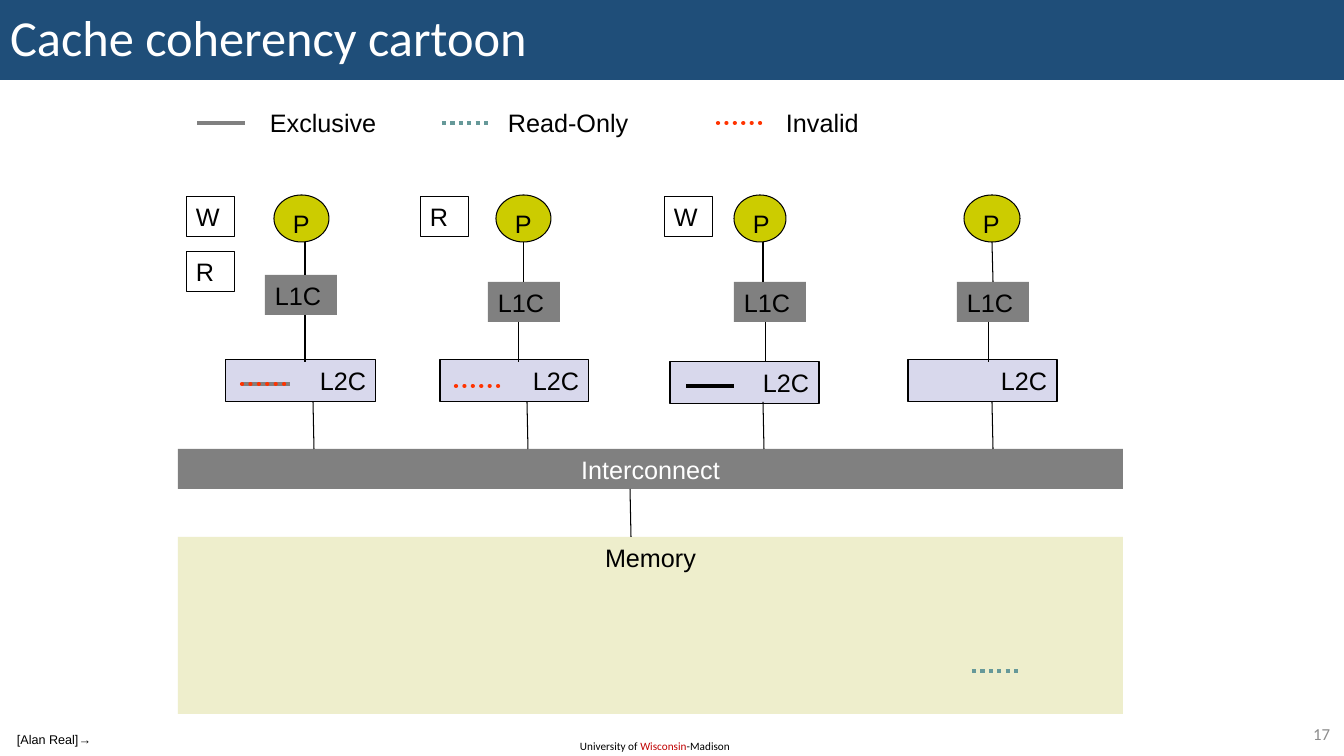
from lxml import etree
from pptx import Presentation
from pptx import util as u
from pptx.dml.color import RGBColor
from pptx.enum import dml, shapes, text
from pptx.oxml.ns import qn

BLACK = RGBColor(0, 0, 0)
WHITE = RGBColor(255, 255, 255)
NAVY = RGBColor(0x1F, 0x4E, 0x79)
GRAY = RGBColor(0x80, 0x80, 0x80)
PALE = RGBColor(0x8C, 0x8C, 0x8C)
OLIVE = RGBColor(0xCC, 0xCC, 0x00)
LILAC = RGBColor(0xD8, 0xD8, 0xEC)
CREAM = RGBColor(0xEE, 0xEE, 0xCC)
TEAL = RGBColor(0x66, 0x99, 0x99)
RED = RGBColor(0xFF, 0x33, 0x00)
CRIMSON = RGBColor(0xC0, 0x00, 0x00)

LEFT, MID, RIGHT = text.PP_ALIGN.LEFT, text.PP_ALIGN.CENTER, text.PP_ALIGN.RIGHT
RECT, OVAL = shapes.MSO_SHAPE.RECTANGLE, shapes.MSO_SHAPE.OVAL

# Content, lengths in px
TITLE = "Cache coherency cartoon"
FOOTER = [("University of ", BLACK), ("Wisconsin", CRIMSON), ("-Madison", BLACK)]
# Legend: line left, label left, label width, label, colour, dotted
LEGEND = [
    (197, 260, 182, "Exclusive", GRAY, False),
    (442, 498, 182, "Read-Only", TEAL, True),
    (718, 776, 151, "Invalid", RED, True),
]
# Nodes: P (left, width), L1C (left, top), L2C (left, top, width),
# wire x for P to L1C, L1C to L2C, L2C to interconnect
NODES = [
    ((274, 55), (265, 275), (226, 360, 150), (305, 305, 313)),
    ((496, 55), (488, 282), (440, 360, 149), (524, 519, 527)),
    ((734, 52), (734, 282), (670, 362, 149), (763, 766, 763)),
    ((964, 56), (957, 282), (908, 360, 149), (992, 988, 992)),
]
# Bars: label, top, height, fill, text colour
BARS = [
    ("Interconnect", 449, 40, GRAY, WHITE),
    ("Memory", 537, 177, CREAM, BLACK),
]
TAGS = [("W", 186, 196), ("R", 420, 196), ("W", 664, 196), ("R", 186, 251)]
# Cache line states: left, y, colour, dotted
MARKS = [
    (242, 384, GRAY, False),
    (242, 384, RED, True),
    (456, 386, RED, True),
    (686, 386, BLACK, False),
    (972, 671, TEAL, True),
]
BAR_X, BAR_W, MARK_W = 178, 945, 48
P_Y, P_H, L1_W, L1_H, L2_H = 195, 47, 72, 40, 42

prs = Presentation()
prs.slide_width, prs.slide_height = u.Inches(13.333), u.Inches(7.5)
SCALE = 914400 / 100.8


def px(*nums):
    return [u.Emu(round(n * SCALE)) for n in nums]


slide = prs.slides.add_slide(prs.slide_layouts[5])


def write(shape, label, size=18, color=BLACK, align=LEFT, face="Arial",
          anchor=text.MSO_ANCHOR.TOP, wrap=True):
    frame = shape.text_frame
    frame.word_wrap = wrap
    frame.vertical_anchor = anchor
    para = frame.paragraphs[0]
    para.alignment = align
    para.font.size, para.font.name = u.Pt(size), face
    para.font.color.rgb = color
    if label:
        para.add_run().text = label
    return para


def label_box(box, label, home=slide.shapes, **style):
    return write(home.add_textbox(*px(*box)), label, **style)


def block(box, fill, kind=RECT, edge=None, home=slide.shapes):
    shape = home.add_shape(kind, *px(*box))
    shape.shadow.inherit = False
    shape.fill.solid()
    shape.fill.fore_color.rgb = fill
    if edge:
        shape.line.color.rgb, shape.line.width = BLACK, u.Pt(edge)
    else:
        shape.line.fill.background()
    return shape


def wire(x1, y1, x2, y2, color=BLACK, width=0.75, dotted=False):
    line = slide.shapes.add_connector(
        shapes.MSO_CONNECTOR.STRAIGHT, *px(x1, y1, x2, y2))
    line.line.color.rgb, line.line.width = color, u.Pt(width)
    props = line._element.spPr
    if dotted:
        line.line.dash_style = dml.MSO_LINE.ROUND_DOT
        if color == RED:
            props.find(qn("a:ln")).set("cap", "rnd")
    etree.SubElement(props, qn("a:effectLst"))
    return line


def mark(x, y, color, dotted):
    wire(x, y, x + MARK_W, y, color, 3, dotted)


# Title band
title = slide.shapes.title
title.left, title.top, title.width, title.height = px(0, 0, 1344, 80)
title.fill.solid()
title.fill.fore_color.rgb = NAVY
head = write(title, TITLE, 36, WHITE, face="Calibri", anchor=text.MSO_ANCHOR.MIDDLE)
head.line_spacing = 0.9

# Legend
for x, label_x, width, label, color, dotted in LEGEND:
    mark(x, 123, color, dotted)
    label_box((label_x, 102, width, 40), label)

# Interconnect and memory
for label, top, height, fill, color in BARS:
    write(block((BAR_X, top, BAR_W, height), fill), label, color=color, align=MID)
net_y, net_h = BARS[0][1:3]
wire(630, net_y + net_h, 631, BARS[1][1])

# Processors with their two cache levels
for (p_x, p_w), (l1_x, l1_y), (l2_x, l2_y, l2_w), (x1, x2, x3) in NODES:
    group = slide.shapes.add_group_shape().shapes
    block((p_x, P_Y, p_w, P_H), OLIVE, OVAL, 0.75, group)
    label_box((p_x + 9, P_Y + 8, p_w - 18, 40), "P", group)

    level2 = block((l2_x, l2_y, l2_w, L2_H), LILAC, edge=0.75)
    write(level2, "L2C", align=RIGHT)
    level1 = block((l1_x, l1_y, L1_W, L1_H), GRAY)
    write(level1, "L1C")

    down = wire(x1, P_Y + P_H, x1, l1_y)
    if abs(x1 - l1_x - L1_W / 2) <= 1:
        down.end_connect(level1, 0)
    wire(x2, l1_y + L1_H, x2, 362)
    wire(x3, 402, x3 + 1, net_y)

# Read and write requests
for label, x, y in TAGS:
    write(block((x, y, 48, 40), WHITE, edge=0.25), label)

# Cache line states
for state in MARKS:
    mark(*state)

# Footer
foot = label_box((570, 734, 173, 24), "", size=8, face="Calibri")
for words, color in FOOTER:
    run = foot.add_run()
    run.text = words
    run.font.color.rgb = color
label_box((1263, 719, 77, 29), "17", size=12, color=PALE, align=RIGHT,
          face="Calibri", anchor=text.MSO_ANCHOR.MIDDLE)
label_box((7, 727, 95, 25), "[Alan Real]→", size=9, wrap=False)

prs.save("out.pptx")
